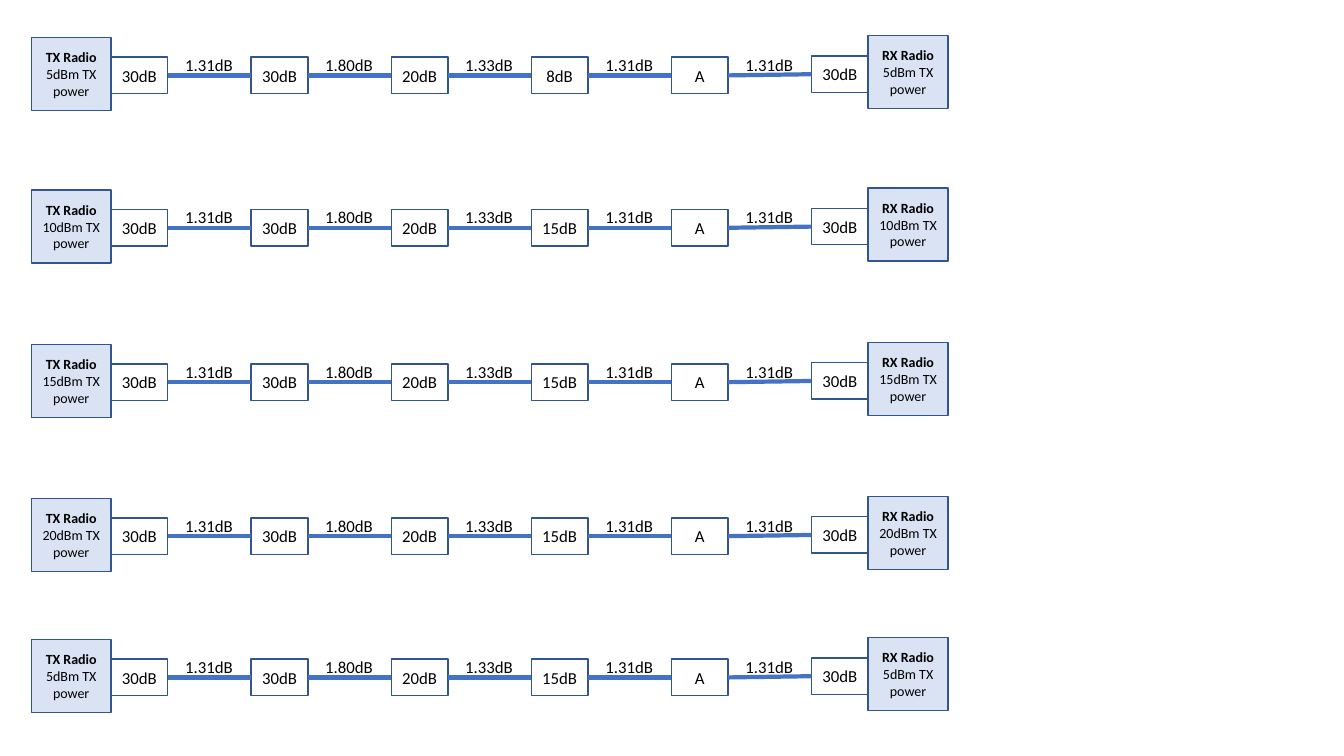
"""Build a slide of five radio link budgets, from TX radio to RX radio."""
import pptx
import pptx.dml.color
import pptx.enum.shapes
import pptx.enum.text
import pptx.oxml.ns
import pptx.util
from lxml import etree

Cm = pptx.util.Cm
COLOURS = {"radio": "DAE3F3", "pad": "FFFFFF", "outline": "325491",
           "cable": "4472C4", "text": "000000"}

TX_LEFT, RADIO_WIDTH, RADIO_HEIGHT = 0.79, 2.01, 1.84
PAD_WIDTH, PAD_HEIGHT, PAD_PITCH = 1.43, 0.92, 3.53
LABEL_WIDTH, LABEL_HEIGHT, LABEL_RISE = 1.73, 0.77, 0.65
FIRST_PAD_LEFT = TX_LEFT + RADIO_WIDTH
LAST_PAD_LEFT = FIRST_PAD_LEFT + 5 * PAD_PITCH
RX_LEFT = LAST_PAD_LEFT + PAD_WIDTH

LINKS = [(1.9, "5dBm", "8dB"), (5.74, "10dBm", "15dB"), (9.63, "15dBm", "15dB"),
         (13.51, "20dBm", "15dB"), (17.07, "5dBm", "15dB")]
CABLE_LOSSES = ["1.31dB", "1.80dB", "1.33dB", "1.31dB", "1.31dB"]


def colour(name):
    return pptx.dml.color.RGBColor.from_string(COLOURS[name])


def write(frame, text, size=12, align=None, bold_first=False):
    for index, line in enumerate(text.split("\n")):
        para = frame.paragraphs[0] if index == 0 else frame.add_paragraph()
        para.alignment = align
        span = para.add_run()
        span.text = line
        span.font.name = "Calibri"
        span.font.size = pptx.util.Pt(size)
        span.font.bold = bold_first and index == 0
        span.font.color.rgb = colour("text")


deck = pptx.Presentation()
deck.slide_width, deck.slide_height = Cm(33.87), Cm(19.05)
page = deck.slides.add_slide(deck.slide_layouts[6])

for centre, power, fourth_pad in LINKS:
    link = page.shapes.add_group_shape()
    pad_texts = ["30dB", "30dB", "20dB", fourth_pad, "A", "30dB"]
    boxes = [("radio", TX_LEFT, centre - 0.03, f"TX Radio\n{power} TX power")]
    for index, text in enumerate(pad_texts):
        pad_centre = centre - 0.03 if index == 5 else centre
        boxes.append(("pad", FIRST_PAD_LEFT + index * PAD_PITCH, pad_centre, text))
    boxes.append(("radio", RX_LEFT, centre - 0.08, f"RX Radio\n{power} TX power"))

    pads = []
    for kind, left, middle, text in boxes:
        is_radio = kind == "radio"
        width = RADIO_WIDTH if is_radio else PAD_WIDTH
        height = RADIO_HEIGHT if is_radio else PAD_HEIGHT
        box = link.shapes.add_shape(
            pptx.enum.shapes.MSO_SHAPE.RECTANGLE,
            Cm(left), Cm(middle - height / 2), Cm(width), Cm(height))
        box.shadow.inherit = False
        box.fill.solid()
        box.fill.fore_color.rgb = colour(kind)
        box.line.color.rgb = colour("outline")
        box.line.width = pptx.util.Pt(1)
        box.text_frame.word_wrap = True
        box.text_frame.vertical_anchor = pptx.enum.text.MSO_ANCHOR.MIDDLE
        write(box.text_frame, text, size=10 if is_radio else 12,
              align=pptx.enum.text.PP_ALIGN.CENTER, bold_first=is_radio)
        if not is_radio:
            pads.append(box)

    for start, end in zip(pads, pads[1:]):
        cable = link.shapes.add_connector(
            pptx.enum.shapes.MSO_CONNECTOR.STRAIGHT,
            start.left + start.width, Cm(centre), end.left, Cm(centre))
        cable.begin_connect(start, 3)
        cable.end_connect(end, 1)
        cable.line.color.rgb = colour("cable")
        cable.line.width = pptx.util.Pt(3)
        etree.SubElement(cable._element.spPr, pptx.oxml.ns.qn("a:effectLst"))

    for index, loss in enumerate(CABLE_LOSSES):
        gap_centre = FIRST_PAD_LEFT + index * PAD_PITCH + (PAD_WIDTH + PAD_PITCH) / 2
        label = link.shapes.add_textbox(
            Cm(gap_centre - LABEL_WIDTH / 2), Cm(centre - LABEL_RISE),
            Cm(LABEL_WIDTH), Cm(LABEL_HEIGHT))
        label.text_frame.word_wrap = False
        label.text_frame.auto_size = pptx.enum.text.MSO_AUTO_SIZE.SHAPE_TO_FIT_TEXT
        write(label.text_frame, loss)

deck.save("out.pptx")
